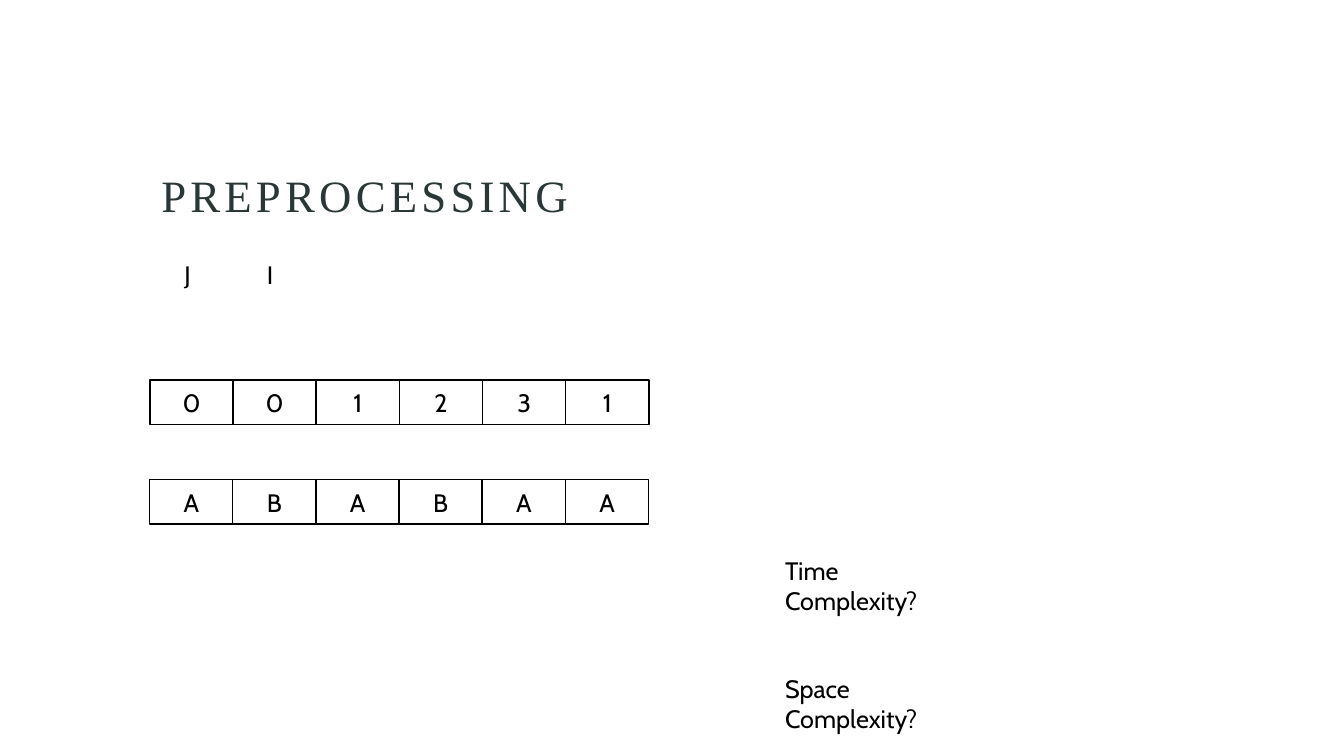
from dataclasses import dataclass

from pptx import Presentation
from pptx.dml.color import RGBColor
from pptx.enum import shapes, text
from pptx.util import Pt


@dataclass(frozen=True)
class Theme:
    heading_font: str = "Times New Roman"
    body_font: str = "Cabin"
    heading_color: RGBColor = RGBColor(0x29, 0x37, 0x37)
    ink: RGBColor = RGBColor(0, 0, 0)
    paper: RGBColor = RGBColor(255, 255, 255)
    heading_size: int = 32
    body_size: int = 18


THEME = Theme()
CELL_WIDTH, CELL_HEIGHT, CELL_STEP = 59.6, 31.7, 59.4


def style_text(paragraph, font, size, color):
    for run in paragraph.runs:
        run.font.name = font
        run.font.size = Pt(size)
        run.font.color.rgb = color


def set_heading(slide, wording):
    heading = slide.shapes.title
    heading.left, heading.top = Pt(108), Pt(54)
    heading.width, heading.height = Pt(747.4), Pt(108)
    frame = heading.text_frame
    frame.text = wording
    frame.auto_size = text.MSO_AUTO_SIZE.NONE
    frame.vertical_anchor = text.MSO_ANCHOR.BOTTOM
    paragraph = frame.paragraphs[0]
    paragraph.alignment = text.PP_ALIGN.LEFT
    paragraph.line_spacing = 0.9
    style_text(paragraph, THEME.heading_font, THEME.heading_size, THEME.heading_color)
    for run in paragraph.runs:
        run.font._element.set("spc", "300")


def add_cell(slide, left, top, symbol):
    cell = slide.shapes.add_shape(
        shapes.MSO_SHAPE.RECTANGLE, Pt(left), Pt(top), Pt(CELL_WIDTH), Pt(CELL_HEIGHT)
    )
    cell.shadow.inherit = False
    cell.fill.solid()
    cell.fill.fore_color.rgb = THEME.paper
    cell.line.color.rgb = THEME.ink
    cell.line.width = Pt(1)
    frame = cell.text_frame
    frame.text = symbol
    frame.vertical_anchor = text.MSO_ANCHOR.MIDDLE
    frame.paragraphs[0].alignment = text.PP_ALIGN.CENTER
    style_text(frame.paragraphs[0], THEME.body_font, THEME.body_size, THEME.ink)


def add_array(slide, left, top, symbols):
    for index, symbol in enumerate(symbols):
        add_cell(slide, left + index * CELL_STEP, top, symbol)


def add_label(slide, left, top, width, wording, wrap):
    label = slide.shapes.add_textbox(Pt(left), Pt(top), Pt(width), Pt(29))
    frame = label.text_frame
    frame.text = wording
    frame.word_wrap = wrap
    frame.auto_size = text.MSO_AUTO_SIZE.SHAPE_TO_FIT_TEXT
    style_text(frame.paragraphs[0], THEME.body_font, THEME.body_size, THEME.ink)


def main():
    deck = Presentation()
    deck.slide_width, deck.slide_height = Pt(960), Pt(540)
    slide = deck.slides.add_slide(deck.slide_layouts.get_by_name("Title Only"))

    set_heading(slide, "PREPROCESSING")
    add_array(slide, 106.8, 342.7, "ABABAA")
    add_array(slide, 107, 271.4, "001231")
    add_label(slide, 124.6, 181.4, 20, "J", False)
    add_label(slide, 183.6, 181.4, 19.4, "I", False)
    add_label(slide, 553.7, 393.1, 149, "Time Complexity?", True)
    add_label(slide, 553.7, 477.4, 153.4, "Space Complexity?", True)

    deck.save("out.pptx")


if __name__ == "__main__":
    main()
